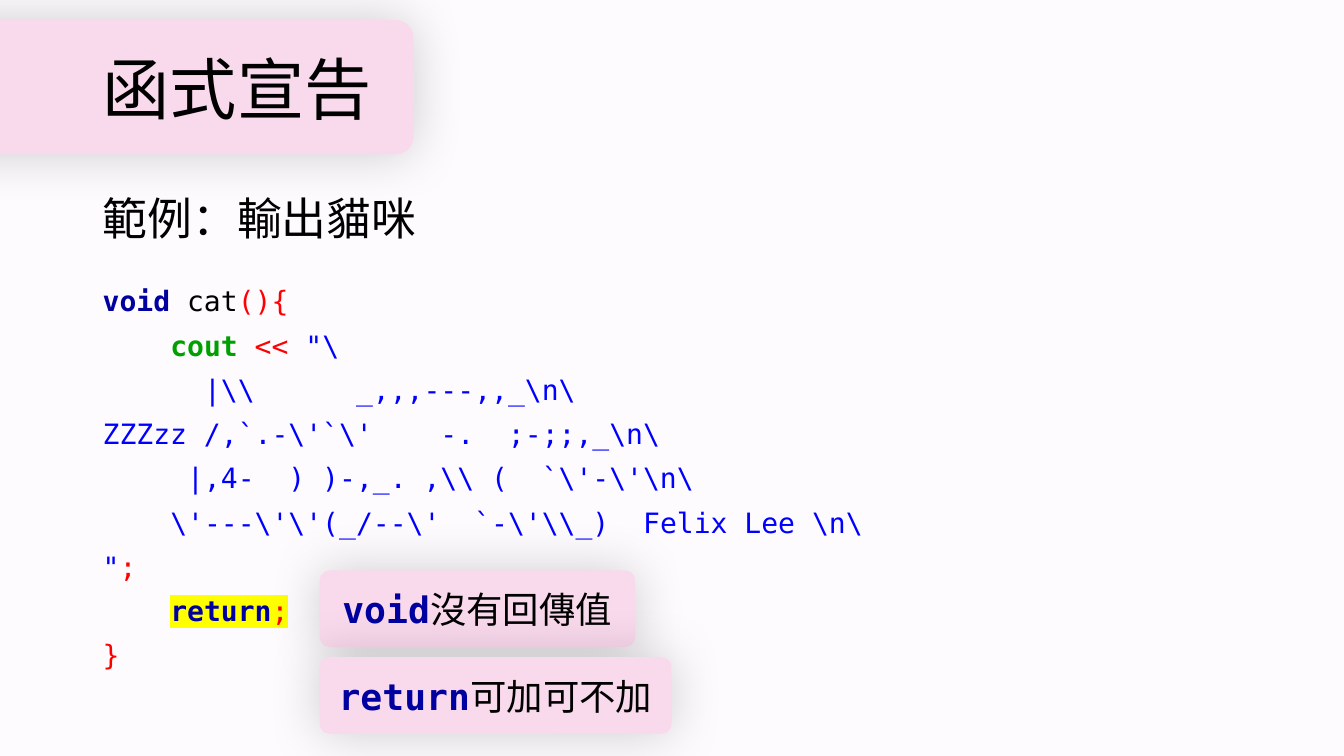
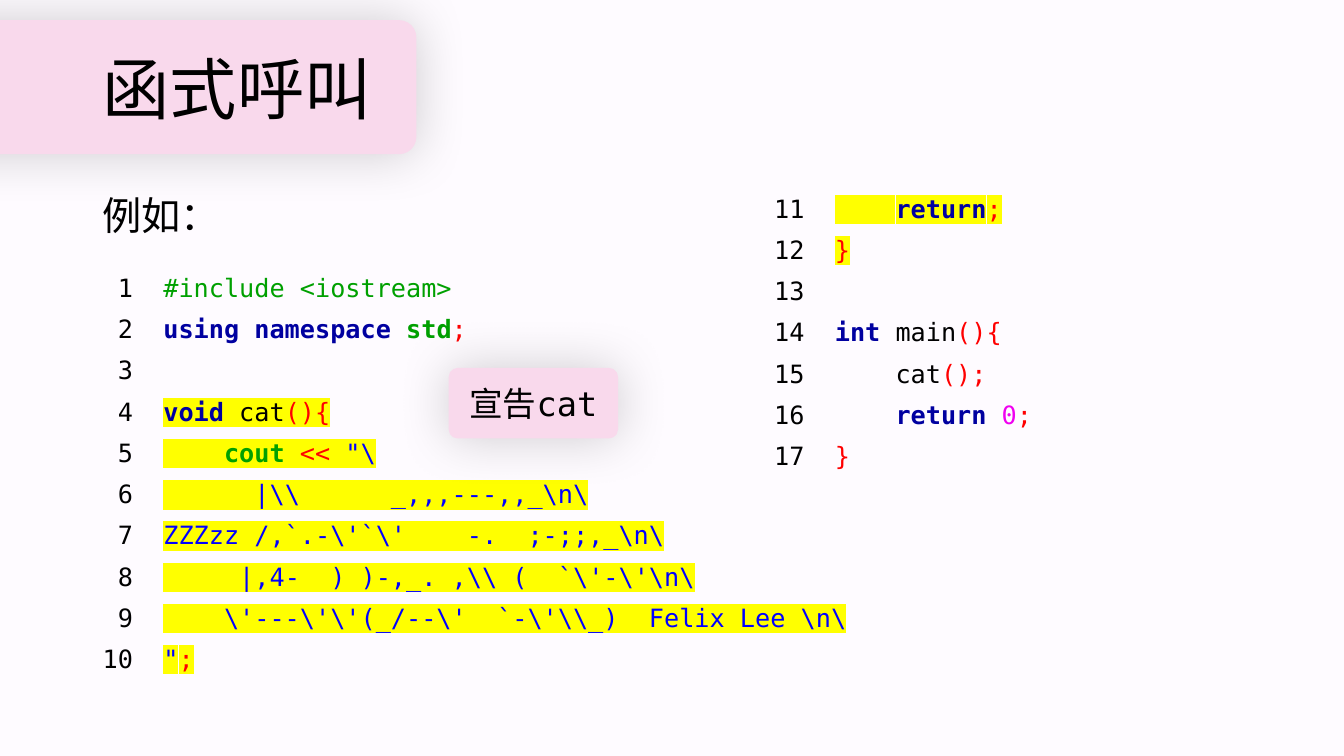
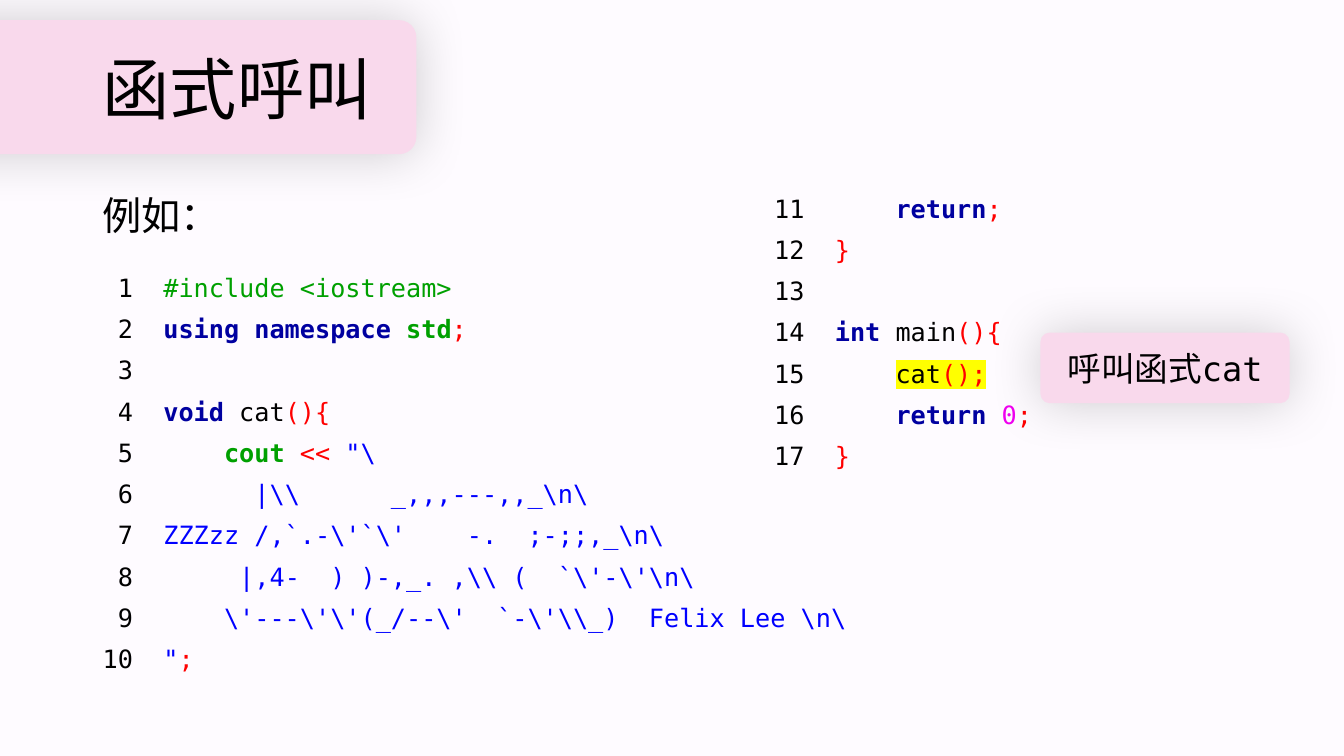
"""Build three slides about declaring and calling a C++ function."""
import pptx
import pptx.dml.color
import pptx.enum.shapes
import pptx.enum.text
import pptx.oxml.ns
import pptx.util
from lxml import etree

WIDTH, HEIGHT = 13.33, 7.5
FONT = "DejaVu Sans Mono"
COLORS = {
    "background": "FEFBFF",
    "panel": "F9D9EC",
    "shadow": "000000",
    "mark": "FFFF00",
    "text": "000000",
    "keyword": "0000A0",
    "library": "00A000",
    "include": "00A000",
    "symbol": "FF0000",
    "string": "0000FF",
    "number": "F000F0",
}
BOLD_STYLES = {"keyword", "library"}

PROGRAM = r'''include~#include <iostream>
keyword~using namespace ~library~std~symbol~;

keyword~void ~text~cat~symbol~(){
text~    ~library~cout ~symbol~<< ~string~"\
text~      ~string~|\\      _,,,---,,_\n\
string~ZZZzz /,`.-\'`\'    -.  ;-;;,_\n\
text~     ~string~|,4-  ) )-,_. ,\\ (  `\'-\'\n\
text~    ~string~\'---\'\'(_/--\'  `-\'\\_)  Felix Lee \n\
string~"~symbol~;
text~    ~keyword~return~symbol~;
symbol~}

keyword~int ~text~main~symbol~(){
text~    ~text~cat~symbol~();
text~    ~keyword~return ~number~0~symbol~;
symbol~}'''.split("\n")

LEFT, BODY_TOP, BODY_WIDTH = 0.92, 1.9, 11.5
RIGHT, RIGHT_WIDTH = 7.58, 4.83
LISTING = {"size": 18, "numbered": True}
LEFT_LINES, RIGHT_LINES = range(1, 11), range(11, 18)
CALL_SLIDE = {
    "title": "函式呼叫", "band_right": 4.13, "heading": "例如：",
    "heading_size": 28, "heading_gap": 26.3, "body_height": 5.09,
    "listing": LISTING, "lines": LEFT_LINES, "side_lines": RIGHT_LINES,
    "callout_size": 24,
}
SLIDES = [
    {
        "title": "函式宣告", "band_right": 4.1, "heading": "範例：輸出貓咪",
        "heading_size": 32, "heading_gap": 30.5, "body_height": 4.86,
        "listing": {"size": 20, "numbered": False},
        "lines": range(4, 13), "side_lines": (),
        "marked": {11}, "mark_indent": False, "callout_size": 26,
        "callouts": [
            ((3.17, 5.66, 3.13, 0.76), [("keyword", "void"), ("text", "沒有回傳值")]),
            ((3.17, 6.52, 3.49, 0.76), [("keyword", "return"), ("text", "可加可不加")]),
        ],
    },
    CALL_SLIDE | {
        "marked": set(range(4, 13)), "mark_indent": True,
        "callouts": [((4.45, 3.65, 1.68, 0.7), [("text", "宣告cat")])],
    },
    CALL_SLIDE | {
        "marked": {15}, "mark_indent": False,
        "callouts": [((10.32, 3.3, 2.47, 0.7), [("text", "呼叫函式cat")])],
    },
]


def rgb(name):
    return pptx.dml.color.RGBColor.from_string(COLORS[name])


def add_color(parent, name):
    color = etree.SubElement(parent, pptx.oxml.ns.qn("a:srgbClr"))
    color.set("val", COLORS[name])
    return color


def inches(lengths):
    return [pptx.util.Inches(length) for length in lengths]


def add_span(para, style, text, size, marked=False):
    span = para.add_run()
    span.text = text
    span.font.size = pptx.util.Pt(size)
    span.font.bold = style in BOLD_STYLES
    span.font.color.rgb = rgb(style)
    span.font.name = FONT
    latin = span.font._element.find(pptx.oxml.ns.qn("a:latin"))
    east_asian = etree.Element(pptx.oxml.ns.qn("a:ea"))
    east_asian.set("typeface", FONT)
    latin.addnext(east_asian)
    if marked:
        highlight = etree.Element(pptx.oxml.ns.qn("a:highlight"))
        add_color(highlight, "mark")
        latin.addprevious(highlight)


def add_panel(slide, place):
    panel = slide.shapes.add_shape(
        pptx.enum.shapes.MSO_SHAPE.ROUNDED_RECTANGLE, *inches(place))
    panel.adjustments[0] = 0.128
    panel.fill.solid()
    panel.fill.fore_color.rgb = rgb("panel")
    panel.line.fill.background()
    panel.shadow.inherit = False
    effects = panel._element.spPr.find(pptx.oxml.ns.qn("a:effectLst"))
    shadow = etree.SubElement(effects, pptx.oxml.ns.qn("a:outerShdw"))
    shadow.set("blurRad", str(pptx.util.Pt(38)))
    shadow.set("algn", "ctr")
    shadow.set("rotWithShape", "0")
    alpha = etree.SubElement(add_color(shadow, "shadow"), pptx.oxml.ns.qn("a:alpha"))
    alpha.set("val", "19000")
    return panel


def add_text_box(slide, place):
    frame = slide.shapes.add_textbox(*inches(place)).text_frame
    frame.word_wrap = True
    frame.paragraphs[0].line_spacing = 0.9
    return frame


def add_code(frame, content, lines, heading_gap=None):
    size = content["listing"]["size"]
    for index, number in enumerate(lines):
        if index or heading_gap:
            para = frame.add_paragraph()
            para.space_before = pptx.util.Pt(10 if index else heading_gap)
        else:
            para = frame.paragraphs[0]
        para.line_spacing = 0.9
        parts = PROGRAM[number - 1].split("~")
        tokens = list(zip(parts[::2], parts[1::2]))
        if content["listing"]["numbered"]:
            add_span(para, "text", f"{number:>2}" + ("  " if tokens else ""), size)
        for style, text in tokens:
            marked = number in content["marked"] and (
                content["mark_indent"] or not text.isspace())
            add_span(para, style, text, size, marked)


def add_callout(slide, place, tokens, size):
    frame = add_panel(slide, place).text_frame
    frame.word_wrap = True
    frame.vertical_anchor = pptx.enum.text.MSO_ANCHOR.MIDDLE
    para = frame.paragraphs[0]
    para.alignment = pptx.enum.text.PP_ALIGN.CENTER
    for style, text in tokens:
        add_span(para, style, text, size)


def build_slide(deck, content):
    slide = deck.slides.add_slide(deck.slide_layouts[6])
    slide.background.fill.solid()
    slide.background.fill.fore_color.rgb = rgb("background")

    add_panel(slide, (-1.57, 0.2, content["band_right"] + 1.57, 1.33))
    title = add_text_box(slide, (LEFT, 0.39, BODY_WIDTH, 1.05))
    title.vertical_anchor = pptx.enum.text.MSO_ANCHOR.MIDDLE
    add_span(title.paragraphs[0], "text", content["title"], 48)

    height = content["body_height"]
    body = add_text_box(slide, (LEFT, BODY_TOP, BODY_WIDTH, height))
    add_span(body.paragraphs[0], "text", content["heading"], content["heading_size"])
    add_code(body, content, content["lines"], content["heading_gap"])
    if content["side_lines"]:
        side = add_text_box(slide, (RIGHT, BODY_TOP, RIGHT_WIDTH, height))
        add_code(side, content, content["side_lines"])
    for place, tokens in content["callouts"]:
        add_callout(slide, place, tokens, content["callout_size"])


def main():
    deck = pptx.Presentation()
    deck.slide_width, deck.slide_height = inches((WIDTH, HEIGHT))
    for content in SLIDES:
        build_slide(deck, content)
    deck.save("out.pptx")


if __name__ == "__main__":
    main()
